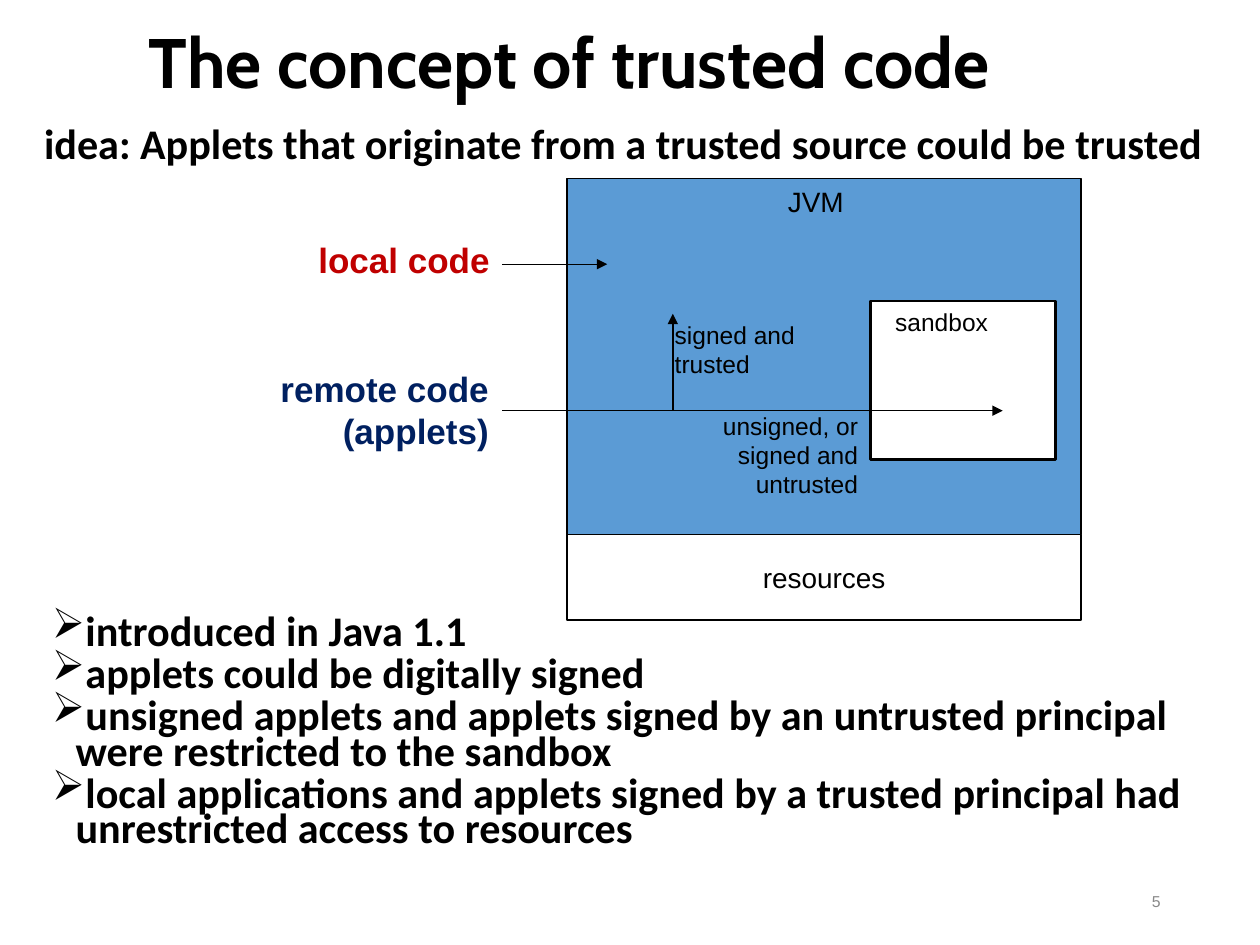
"""Build a slide on the concept of trusted code for Java applets."""
from typing import NamedTuple, Optional

from lxml import etree
from pptx import Presentation
from pptx.dml.color import RGBColor
from pptx.enum.shapes import MSO_CONNECTOR, MSO_SHAPE
from pptx.enum.text import MSO_ANCHOR, MSO_AUTO_SIZE, PP_ALIGN
from pptx.oxml.ns import qn
from pptx.util import Pt

LEFT, CENTER, RIGHT = PP_ALIGN.LEFT, PP_ALIGN.CENTER, PP_ALIGN.RIGHT
TOP, MIDDLE = MSO_ANCHOR.TOP, MSO_ANCHOR.MIDDLE
RECT, STRAIGHT, NO_FIT = MSO_SHAPE.RECTANGLE, MSO_CONNECTOR.STRAIGHT, MSO_AUTO_SIZE.NONE
RIGHT_SIDE = 3

BLACK = RGBColor(0x00, 0x00, 0x00)
WHITE = RGBColor(0xFF, 0xFF, 0xFF)
BLUE = RGBColor(0x5B, 0x9B, 0xD5)
NAVY = RGBColor(0x00, 0x20, 0x60)
RED = RGBColor(0xC0, 0x00, 0x00)
GRAY = RGBColor(0x89, 0x89, 0x89)

TITLE = {"name": "Cabin", "size": Pt(40), "bold": True}
BODY = {"name": "Calibri", "size": Pt(24.1), "bold": True}
BULLETS = [
    "introduced in Java 1.1",
    "applets could be digitally signed",
    "unsigned applets and applets signed by an untrusted principal were restricted to the sandbox",
    "local applications and applets signed by a trusted principal had unrestricted access to resources",
]


class Box(NamedTuple):
    x: float
    y: float
    w: float
    h: float
    fill: RGBColor
    line: float = 0.75


class Label(NamedTuple):
    text: str
    x: float
    y: float
    w: float
    h: float
    size: float
    align: PP_ALIGN = CENTER
    color: RGBColor = BLACK
    bold: bool = False
    anchor: MSO_ANCHOR = TOP


class Arrow(NamedTuple):
    x1: float
    y1: float
    x2: float
    y2: float
    source: Optional[str] = None


BOXES = [
    Box(324, 102.2, 293.8, 203.1, BLUE),
    Box(497.5, 172.1, 105.8, 90.7, WHITE, 1.5),
    Box(324, 305.3, 293.8, 49, WHITE),
]
LABELS = [
    Label("JVM", 437, 102.2, 58.3, 31, 16),
    Label("sandbox", 496, 172.1, 84.2, 28, 14),
    Label("resources", 324, 305.3, 293.8, 49, 16, anchor=MIDDLE),
    Label("remote code\n(applets)", 117, 206.6, 169.5, 65, 20, RIGHT, NAVY, True),
    Label("local code", 144.5, 132.5, 142.5, 37, 20, RIGHT, RED, True),
    Label("signed and\ntrusted", 378.5, 179.3, 103.7, 47.5, 14, LEFT),
    Label("unsigned, or\nsigned and\nuntrusted", 383, 231.1, 114.5, 67, 14, RIGHT),
    Label("5", 508.3, 500.4, 162, 28.8, 9, RIGHT, GRAY, anchor=MIDDLE),
]
ARROWS = [
    Arrow(287, 151, 347, 151, "local code"),
    Arrow(287, 234.7, 573, 234.7),
    Arrow(384.5, 234.7, 384.5, 179.3),
]


def set_format(target, values: dict) -> None:
    for name, value in values.items():
        setattr(target, name, value)


def add_box(slide, box: Box) -> None:
    sp = slide.shapes.add_shape(RECT, Pt(box.x), Pt(box.y), Pt(box.w), Pt(box.h))
    sp.shadow.inherit = False
    sp.fill.solid()
    sp.fill.fore_color.rgb = box.fill
    sp.line.color.rgb = BLACK
    sp.line.width = Pt(box.line)


def add_label(slide, label: Label):
    sp = slide.shapes.add_textbox(Pt(label.x), Pt(label.y), Pt(label.w), Pt(label.h))
    tf = sp.text_frame
    set_format(tf, {"text": label.text, "word_wrap": False, "vertical_anchor": label.anchor})
    for p in tf.paragraphs:
        p.alignment = label.align
        for r in p.runs:
            set_format(r.font, {"name": "Arial", "size": Pt(label.size), "bold": label.bold})
            r.font.color.rgb = label.color
    return sp


def add_arrow(slide, arrow: Arrow, sources: dict) -> None:
    cn = slide.shapes.add_connector(STRAIGHT, Pt(arrow.x1), Pt(arrow.y1), Pt(arrow.x2), Pt(arrow.y2))
    if arrow.source:
        cn.begin_connect(sources[arrow.source], RIGHT_SIDE)
    cn.line.color.rgb = BLACK
    cn.line.width = Pt(0.75)
    etree.SubElement(cn.line._get_or_add_ln(), qn("a:tailEnd"), type="triangle")
    etree.SubElement(cn._element.spPr, qn("a:effectLst"))


def add_body(slide, y: float, h: float, lines: list[str], bulleted: bool) -> None:
    sp = slide.shapes.add_textbox(Pt(25.2), Pt(y), Pt(669.6), Pt(h))
    tf = sp.text_frame
    set_format(tf, {"word_wrap": True, "margin_left": 0, "margin_right": 0,
                    "margin_top": 0, "margin_bottom": 0})
    for i, line in enumerate(lines):
        p = tf.paragraphs[0] if i == 0 else tf.add_paragraph()
        if bulleted:
            p.line_spacing = 0.7
            p.space_before = Pt(3.8 if i else 0)
            pPr = p._p.get_or_add_pPr()
            pPr.set("marL", str(Pt(18)))
            pPr.set("indent", str(Pt(-13.5)))
            etree.SubElement(pPr, qn("a:buChar"), char="➢")
        r = p.add_run()
        r.text = line
        set_format(r.font, BODY)
        r.font.color.rgb = BLACK


def add_title(slide, text: str) -> None:
    sp = slide.shapes.title
    set_format(sp, {"left": Pt(77.8), "top": Pt(14.4), "width": Pt(553), "height": Pt(46.8)})
    tf = sp.text_frame
    set_format(tf, {"text": text, "vertical_anchor": MIDDLE, "auto_size": NO_FIT})
    p = tf.paragraphs[0]
    set_format(p, {"alignment": LEFT, "line_spacing": 0.9})
    set_format(p.runs[0].font, TITLE)
    p.runs[0].font.color.rgb = BLACK


def main() -> None:
    prs = Presentation()
    prs.slide_width, prs.slide_height = Pt(720), Pt(540)
    slide = prs.slides.add_slide(prs.slide_layouts[5])
    add_title(slide, "The concept of trusted code")
    add_body(slide, 66.8, 30, ["idea: Applets that originate from a trusted source could be trusted"], False)
    add_body(slide, 353.3, 140, BULLETS, True)
    for box in BOXES:
        add_box(slide, box)
    sources = {label.text: add_label(slide, label) for label in LABELS}
    for arrow in ARROWS:
        add_arrow(slide, arrow, sources)
    prs.save("out.pptx")


if __name__ == "__main__":
    main()
